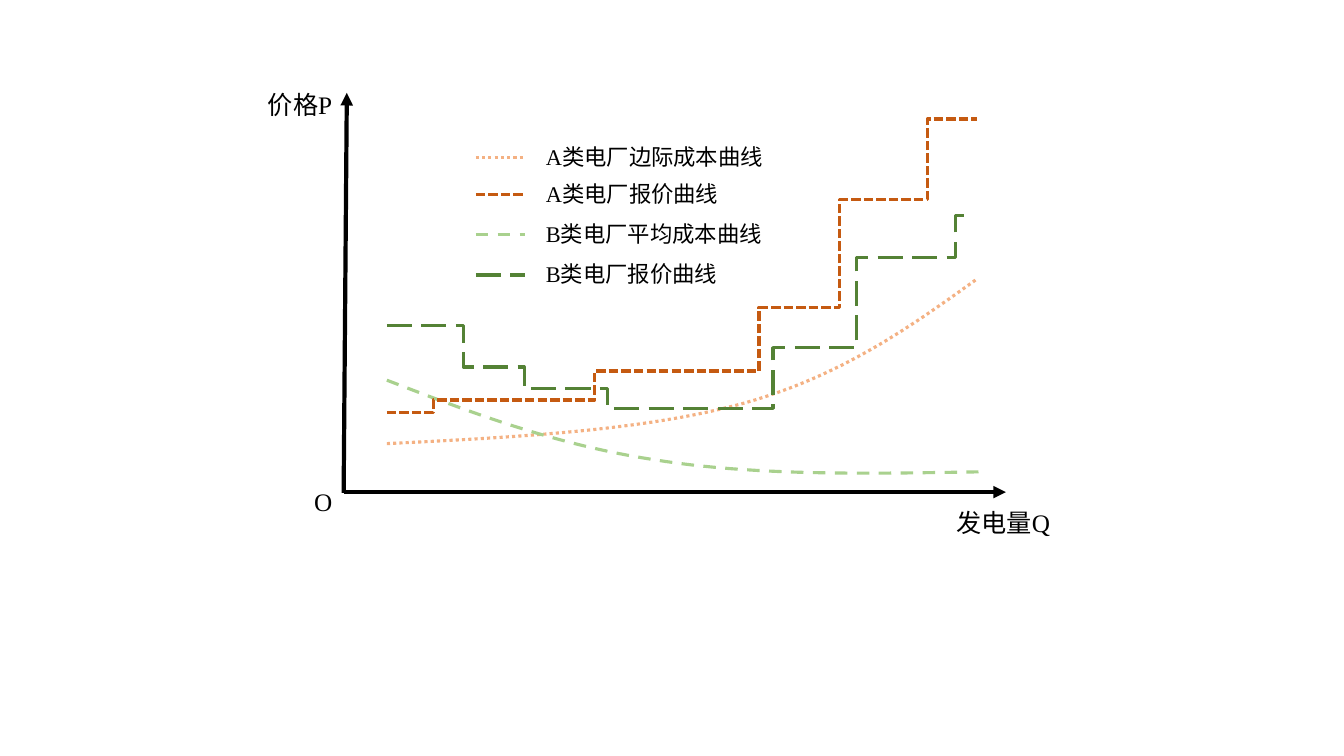
"""Build a slide comparing cost and bidding curves of two power plant classes."""
from lxml import etree
from pptx import Presentation
from pptx.dml.color import RGBColor
from pptx.enum.dml import MSO_LINE
from pptx.enum.shapes import MSO_CONNECTOR
from pptx.enum.text import MSO_AUTO_SIZE
from pptx.oxml.ns import qn
from pptx.util import Cm, Pt

BLACK = RGBColor(0x00, 0x00, 0x00)
LIGHT_ORANGE = RGBColor(0xF4, 0xB1, 0x83)
DARK_ORANGE = RGBColor(0xC5, 0x5A, 0x11)
LIGHT_GREEN = RGBColor(0xA9, 0xD1, 0x8E)
DARK_GREEN = RGBColor(0x54, 0x82, 0x35)

STRAIGHT = MSO_CONNECTOR.STRAIGHT
GROW = MSO_AUTO_SIZE.SHAPE_TO_FIT_TEXT
DOTTED = MSO_LINE.ROUND_DOT
SHORT_DASH = MSO_LINE.SQUARE_DOT
DASH = MSO_LINE.DASH
LONG_DASH = MSO_LINE.LONG_DASH

LATIN = "Times New Roman"
CHINESE = "Noto Sans CJK SC"

A_COST_STYLE = (LIGHT_ORANGE, DOTTED)
A_BID_STYLE = (DARK_ORANGE, SHORT_DASH)
B_COST_STYLE = (LIGHT_GREEN, DASH)
B_BID_STYLE = (DARK_GREEN, LONG_DASH)

CURVE_LEFT = 9.75
CURVE_SAMPLES = 24
A_COST = [(CURVE_LEFT, 11.18), (13, 11.02), (16.26, 10.85), (18.75, 10.16),
          (21.21, 9.47), (22.91, 8.26), (24.61, 7.04)]
B_COST = [(CURVE_LEFT, 9.58), (11.86, 10.39), (13.97, 11.2), (16.46, 11.58),
          (18.95, 11.99), (21.82, 11.94), (24.66, 11.89)]
A_BID_STEPS = [(10.92, 10.39), (14.99, 10.08), (19.13, 9.35),
               (21.16, 7.75), (23.37, 5.03), (24.61, 3)]
B_BID_STEPS = [(11.68, 8.2), (13.21, 9.25), (15.32, 9.78), (19.48, 10.29),
               (21.59, 8.76), (24.08, 6.5), (24.51, 5.44)]

LEGEND = [("A类电厂边际成本曲线", 3.96, 7.11, A_COST_STYLE),
          ("A类电厂报价曲线", 4.9, 5.54, A_BID_STYLE),
          ("B类电厂平均成本曲线", 5.91, 7.11, B_COST_STYLE),
          ("B类电厂报价曲线", 6.93, 5.54, B_BID_STYLE)]


def style_line(line, color, width, dash=None):
    """Set the colour, width and dash of a line."""
    line.color.rgb = color
    line.width = Pt(width)
    if dash is not None:
        line.dash_style = dash


def add_line(slide, start, end, color, width, dash=None):
    """Add a straight connector without a shadow."""
    connector = slide.shapes.add_connector(
        STRAIGHT, *(Cm(value) for value in (*start, *end)))
    style_line(connector.line, color, width, dash)
    etree.SubElement(connector.element.spPr, qn("a:effectLst"))
    return connector


def add_axis(slide, start, end):
    """Add a black axis with an arrowhead at its end."""
    axis = add_line(slide, start, end, BLACK, 3)
    outline = axis.element.spPr.find(qn("a:ln"))
    etree.SubElement(outline, qn("a:tailEnd"), type="triangle")


def add_label(slide, left, top, width, height, size, spans):
    """Add a text box with one paragraph of (text, font) spans."""
    box = slide.shapes.add_textbox(Cm(left), Cm(top), Cm(width), Cm(height))
    frame = box.text_frame
    frame.word_wrap = True
    frame.auto_size = GROW
    for text, font in spans:
        span = frame.paragraphs[0].add_run()
        span.text = text
        span.font.size = Pt(size)
        span.font.color.rgb = BLACK
        span.font.name = font
        properties = span.font._element if hasattr(span.font, "_element") else span._r.rPr
        etree.SubElement(properties, qn("a:ea"), typeface=CHINESE)


def add_path(slide, points, color, dash):
    """Add an open, unfilled line through the points."""
    corners = [(Cm(x), Cm(y)) for x, y in points]
    builder = slide.shapes.build_freeform(*corners[0])
    builder.add_line_segments(corners[1:], close=False)
    shape = builder.convert_to_shape()
    shape.shadow.inherit = False
    shape.fill.background()
    style_line(shape.line, color, 2.25, dash)


def bezier_points(controls):
    """Sample a chain of cubic curves given by their control points."""
    points = [controls[0]]
    for first in range(0, len(controls) - 1, 3):
        segment = controls[first:first + 4]
        for step in range(1, CURVE_SAMPLES + 1):
            t = step / CURVE_SAMPLES
            weights = ((1 - t) ** 3, 3 * t * (1 - t) ** 2, 3 * t ** 2 * (1 - t), t ** 3)
            points.append(tuple(
                sum(weight * value for weight, value in zip(weights, axis))
                for axis in zip(*segment)))
    return points


def stair_points(steps):
    """Turn (right end, level) steps into the corners of a staircase."""
    points = []
    left = CURVE_LEFT
    for right, level in steps:
        points += [(left, level), (right, level)]
        left = right
    return points


def add_legend(slide):
    """Add a line sample and a name for each curve."""
    for name, middle, width, style in LEGEND:
        add_label(slide, 13.51, middle - 0.49, width, 0.94, 16, [(name, LATIN)])
        color, dash = style
        add_line(slide, (11.99, middle), (13.23, middle), color, 2.25, dash)


def main():
    """Build and save the deck."""
    deck = Presentation()
    deck.slide_width, deck.slide_height = Cm(33.87), Cm(19.05)
    slide = deck.slides.add_slide(deck.slide_layouts[6])
    add_axis(slide, (8.66, 12.4), (25.35, 12.4))
    add_axis(slide, (8.66, 12.42), (8.74, 2.34))
    add_label(slide, 6.5, 2.13, 2.31, 1.02, 18, [("价格", CHINESE), ("P", LATIN)])
    add_label(slide, 23.85, 12.65, 3.18, 1.02, 18, [("发电量", CHINESE), ("Q", LATIN)])
    add_path(slide, bezier_points(A_COST), *A_COST_STYLE)
    add_path(slide, bezier_points(B_COST), *B_COST_STYLE)
    add_label(slide, 7.67, 12.14, 1.07, 1.02, 18, [("O", LATIN)])
    add_path(slide, stair_points(A_BID_STEPS), *A_BID_STYLE)
    add_path(slide, stair_points(B_BID_STEPS), *B_BID_STYLE)
    add_legend(slide)
    deck.save("out.pptx")


if __name__ == "__main__":
    main()
